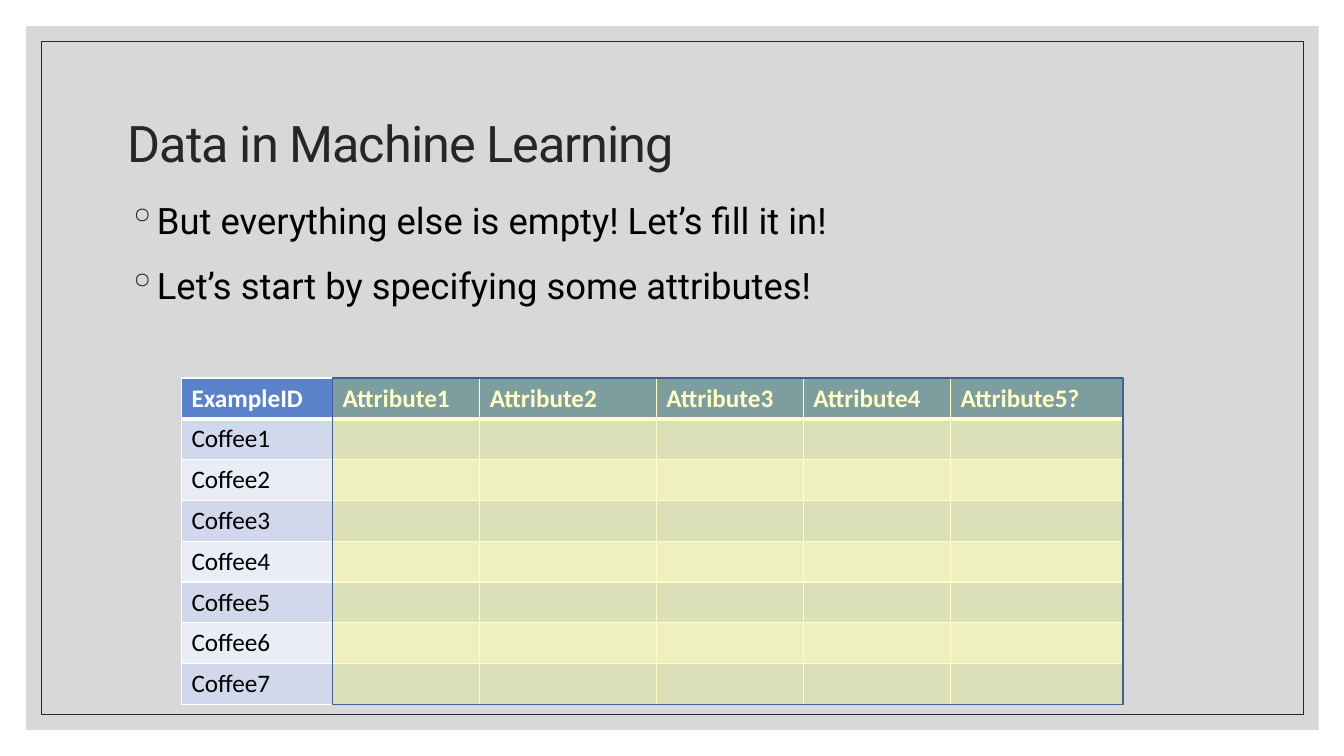
from dataclasses import dataclass

from lxml import etree
from pptx import Presentation
from pptx.dml.color import RGBColor
from pptx.enum.shapes import MSO_SHAPE
from pptx.enum.text import MSO_ANCHOR
from pptx.oxml.ns import qn
from pptx.util import Inches, Pt

RECT = MSO_SHAPE.RECTANGLE
TOP, MIDDLE = MSO_ANCHOR.TOP, MSO_ANCHOR.MIDDLE


@dataclass(frozen=True)
class Theme:
    ink: str = "262626"
    black: str = "000000"
    white: str = "FFFFFF"
    panel: str = "BFBFBF"
    head: str = "5A82CB"
    bands: tuple = ("D2D8EC", "EAEDF6")
    glow: str = "FFFF00"
    edge: str = "436096"
    face: str = "Roboto"
    cell: str = "Calibri"
    title: int = 36
    body: int = 26
    small: int = 18


def style(thing, **form):
    for name, value in form.items():
        setattr(thing, name, value)


def add(node, tag, **attrs):
    return etree.SubElement(node, qn(tag), attrs)


class Page:
    """Draws on one slide; every box is in percent of the slide's size."""

    def __init__(self, deck, theme):
        self.deck, self.theme = deck, theme
        self.slide = deck.slides.add_slide(deck.slide_layouts[6])

    def wide(self, share):
        return round(self.deck.slide_width * share / 100)

    def high(self, share):
        return round(self.deck.slide_height * share / 100)

    def place(self, box):
        left, top, width, height = box
        return self.wide(left), self.high(top), self.wide(width), self.high(height)

    def font(self, font, size, face, color, bold=False):
        style(font, size=Pt(size), name=face, bold=bold)
        font.color.rgb = RGBColor.from_string(color)

    def rect(self, box, fill=None, alpha=100, line=None, weight=1):
        shape = self.slide.shapes.add_shape(RECT, *self.place(box))
        shape.shadow.inherit = False
        if fill:
            shape.fill.solid()
            shape.fill.fore_color.rgb = RGBColor.from_string(fill)
            color = shape.fill._xPr.find(qn("a:solidFill"))[0]
            add(color, "a:alpha", val=str(alpha * 1000))
        else:
            shape.fill.background()
        if line:
            shape.line.color.rgb = RGBColor.from_string(line)
            shape.line.width = Pt(weight)
        else:
            shape.line.fill.background()

    def frame(self, box, anchor):
        frame = self.slide.shapes.add_textbox(*self.place(box)).text_frame
        style(frame, word_wrap=True, vertical_anchor=anchor)
        return frame

    def title(self, box, text):
        para = self.frame(box, MIDDLE).paragraphs[0]
        para.line_spacing = 0.9
        run = para.add_run()
        run.text = text
        self.font(run.font, self.theme.title, self.theme.face, self.theme.ink)
        run.font._element.set("spc", "-70")

    def bullets(self, box, lines):
        frame = self.frame(box, TOP)
        for i, text in enumerate(lines):
            para = frame.add_paragraph() if i else frame.paragraphs[0]
            style(para, line_spacing=1.2, space_before=Pt(9 if i else 0))
            props = para._p.get_or_add_pPr()
            indent = Inches(0.2)
            props.set("marL", str(indent))
            props.set("indent", str(-indent))
            add(add(props, "a:buClr"), "a:srgbClr", val=self.theme.ink)
            add(props, "a:buChar", char="◦")
            run = para.add_run()
            run.text = text
            self.font(run.font, self.theme.body, self.theme.face, self.theme.black)

    def border(self, cell, top, bottom):
        """Rule a cell in white; top and bottom are line widths in points."""
        props = cell._tc.get_or_add_tcPr()
        for side, weight in zip("LRTB", (1, 1, top, bottom)):
            line = add(props, "a:ln" + side, w=str(Pt(weight)))
            add(add(line, "a:solidFill"), "a:srgbClr", val=self.theme.white)

    def table(self, box, cols, data):
        theme = self.theme
        shapes = self.slide.shapes
        grid = shapes.add_table(len(data), len(cols), *self.place(box)).table
        for col, share in zip(grid.columns, cols):
            col.width = self.wide(share)
        for r, words in enumerate(data):
            grid.rows[r].height = self.high(box[3] / len(data))
            back = theme.bands[(r - 1) % 2] if r else theme.head
            ink = theme.black if r else theme.white
            for c in range(len(cols)):
                cell = grid.cell(r, c)
                self.border(cell, 3 if r == 1 else 1, 1 if r else 3)
                cell.fill.solid()
                cell.fill.fore_color.rgb = RGBColor.from_string(back)
                if c < len(words):
                    run = cell.text_frame.paragraphs[0].add_run()
                    run.text = words[c]
                    self.font(run.font, theme.small, theme.cell, ink, not r)


def main():
    deck = Presentation()
    style(deck, slide_width=Inches(13.33), slide_height=Inches(7.5))
    theme = Theme()
    page = Page(deck, theme)

    page.rect((1.95, 3.47, 96.17, 93.07), fill=theme.panel, alpha=60)
    page.rect((3.08, 5.47, 93.92, 89.07), line=theme.ink, weight=0.5)
    page.title((8.78, 9.33, 82.52, 20), "Data in Machine Learning")
    page.bullets((8.78, 24.4, 81.62, 56.13), [
        "But everything else is empty! Let’s fill it in!",
        "Let’s start by specifying some attributes!",
    ])

    left, top, height = 13.5, 50, 43.2
    cols = [11.25, 10.95, 13.13, 10.95, 10.95, 12.83]
    head = ["ExampleID"] + [f"Attribute{n}" for n in range(1, 5)] + ["Attribute5?"]
    rows = [[f"Coffee{n}"] for n in range(1, 8)]
    page.table((left, top, sum(cols), height), cols, [head] + rows)
    page.rect((left + cols[0], top, sum(cols[1:]), height),
              fill=theme.glow, alpha=22, line=theme.edge)

    deck.save("out.pptx")


if __name__ == "__main__":
    main()
